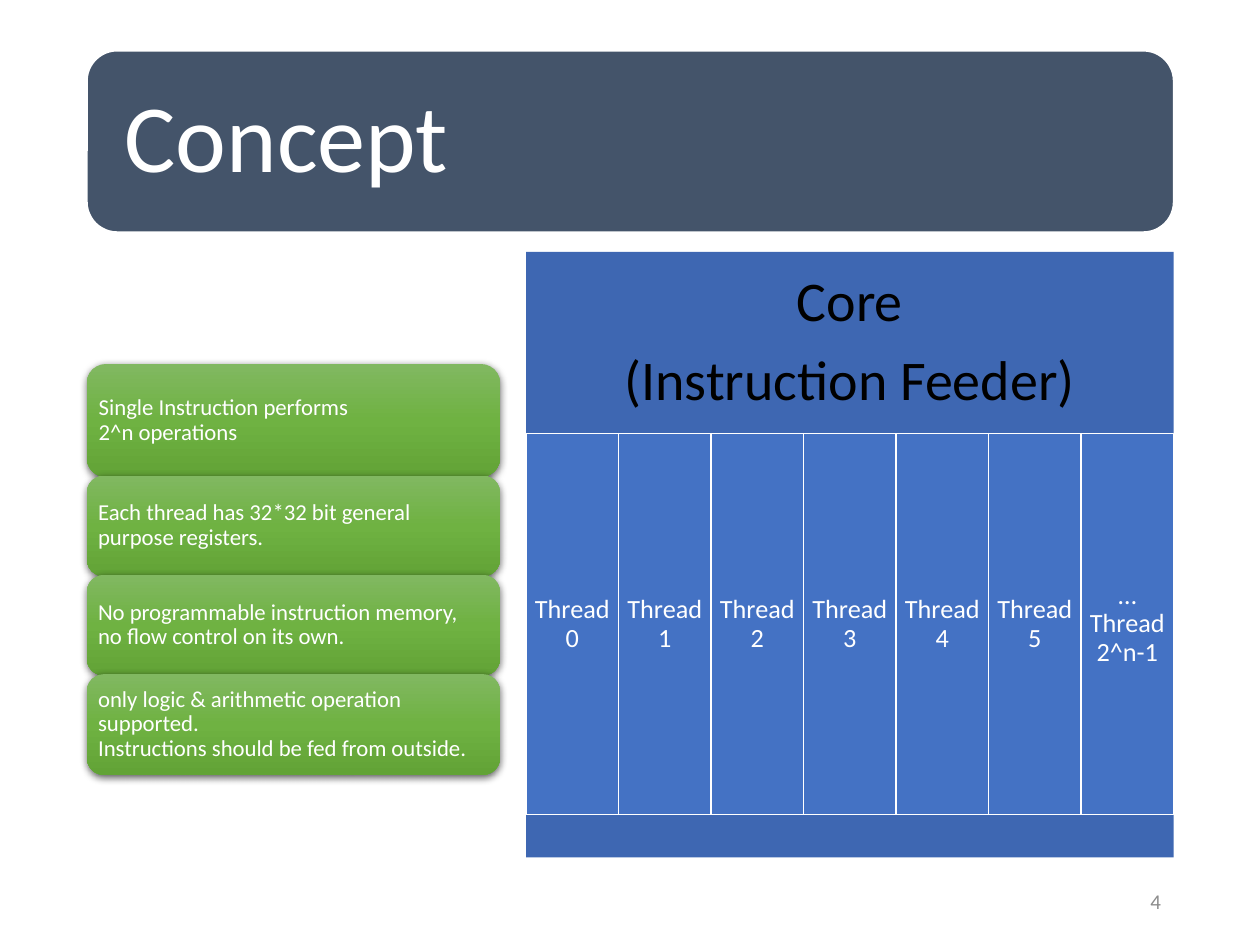
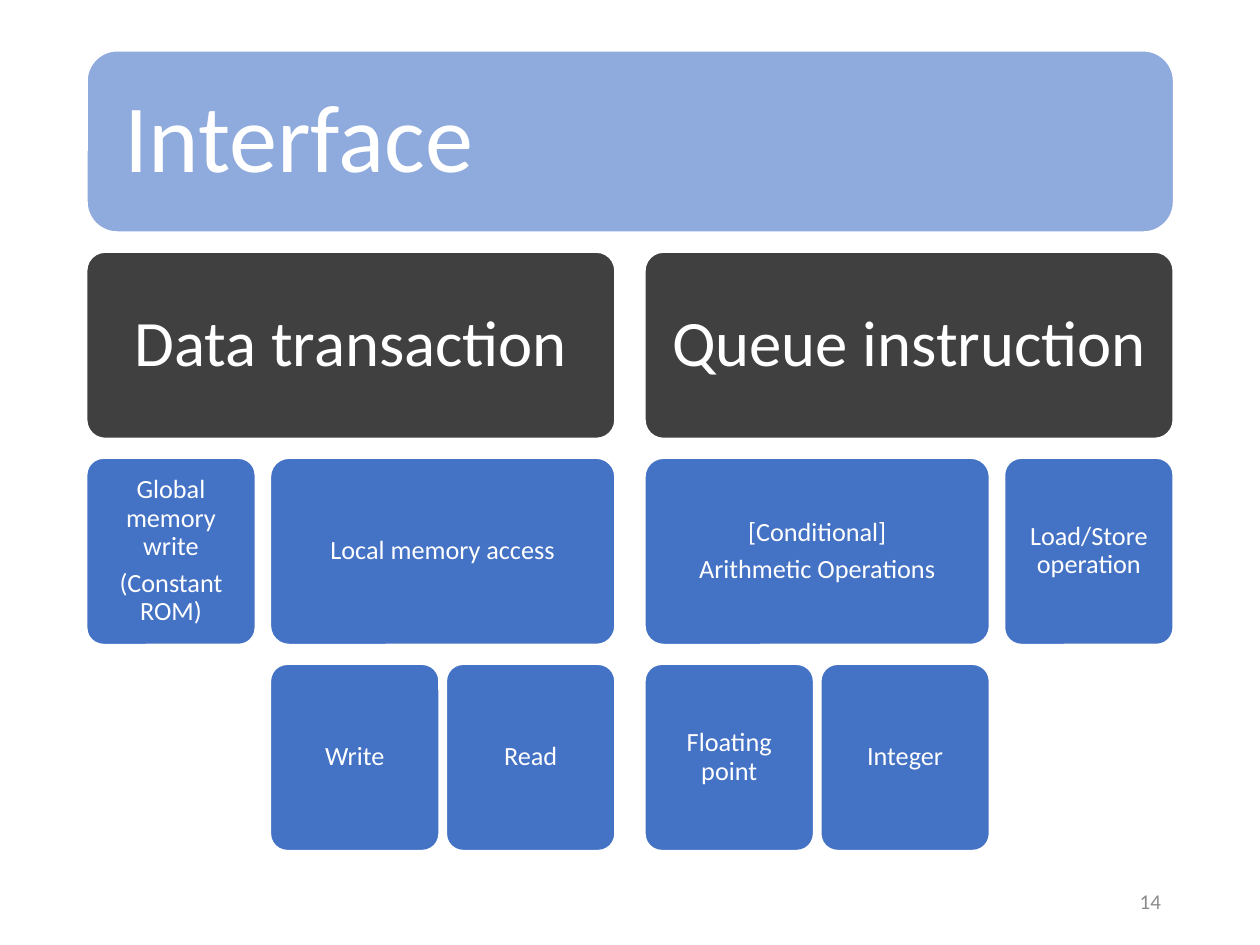
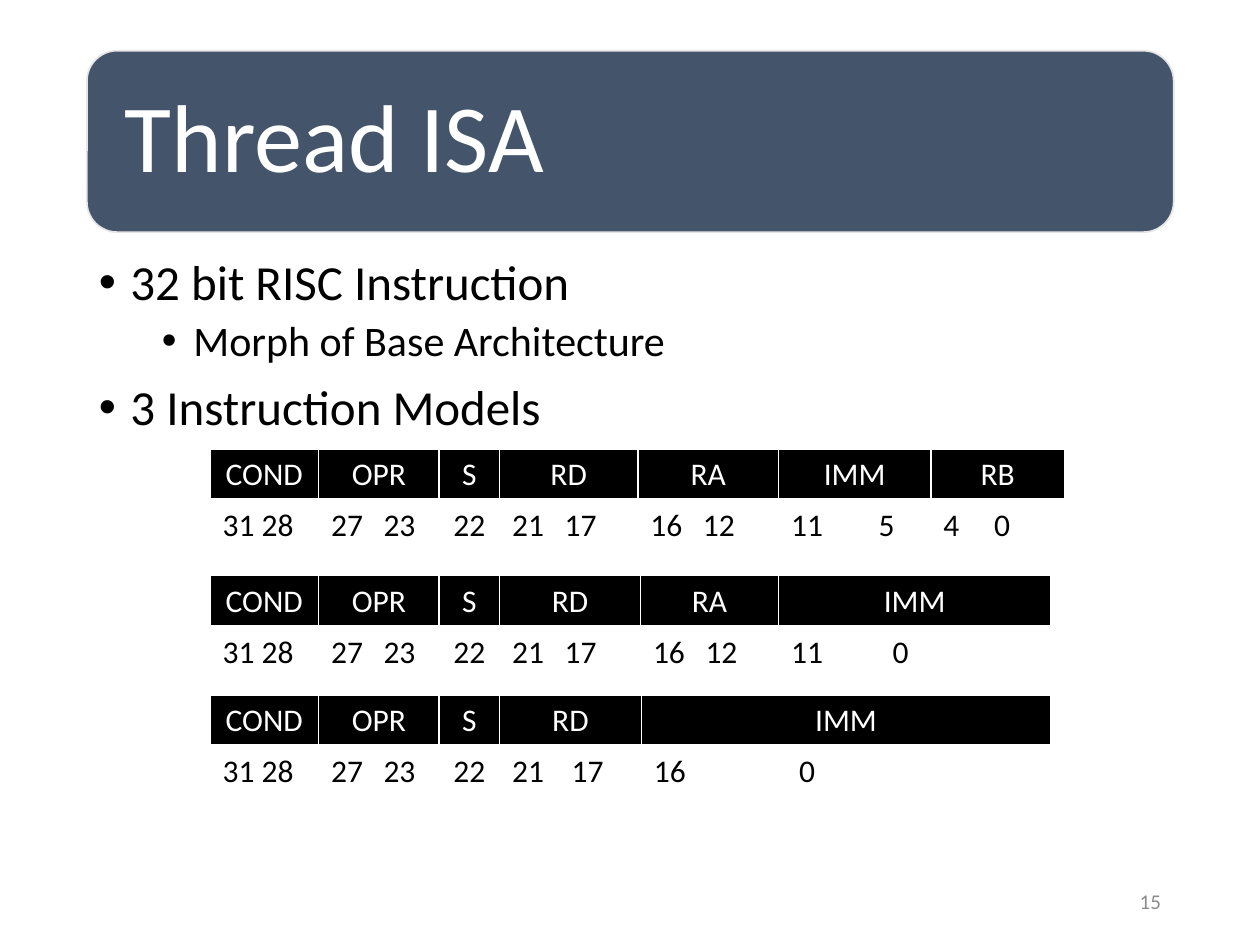
"""Builds three slides on a threaded core: concept, interface and instruction set."""
from copy import deepcopy
from dataclasses import dataclass
from itertools import accumulate

from lxml import etree
from pptx import Presentation
from pptx import util as u
from pptx.dml.color import RGBColor
from pptx.enum import shapes, text
from pptx.oxml.ns import qn

RECTANGLE = shapes.MSO_SHAPE.RECTANGLE
ROUNDED = shapes.MSO_SHAPE.ROUNDED_RECTANGLE
LEFT, CENTER = text.PP_ALIGN.LEFT, text.PP_ALIGN.CENTER
RIGHT, JUSTIFY = text.PP_ALIGN.RIGHT, text.PP_ALIGN.JUSTIFY


@dataclass(frozen=True)
class Theme:
    """Colours, font and type sizes shared by the slides."""
    font: str = "Calibri"
    white: str = "FFFFFF"
    black: str = "000000"
    slate: str = "44546A"
    sky: str = "8FAADC"
    blue: str = "4472C4"
    deep_blue: str = "3E67B2"
    charcoal: str = "404040"
    gray: str = "8C8C8C"
    light_gray: str = "E7E6E6"
    greens: tuple = ("81B861", "6FB242", "62A336")
    title: int = 55
    group: int = 37
    core: int = 32
    bullets: tuple = (28, 24)
    table: int = 18
    label: int = 15
    note: int = 13
    number: int = 12


@dataclass(frozen=True)
class Box:
    """A rectangle in points."""
    left: float
    top: float
    width: float
    height: float

    def lengths(self):
        """Return the four lengths as Pt values."""
        return [u.Pt(value) for value in (self.left, self.top, self.width, self.height)]

    def inset(self, margin):
        """Return the box shrunk by a margin on every side."""
        return Box(self.left + margin, self.top + margin,
                   self.width - 2 * margin, self.height - 2 * margin)


THEME = Theme()
TITLE_BOX = Box(49.7, 29, 621, 103.7)
BODY_BOX = Box(49.5, 144, 621, 343)
CORE_BOX = Box(300.6, 144, 370, 346)
NOTES_BOX = Box(49.7, 208, 236, 235)
NUMBER_BOX = Box(508.5, 501.5, 162, 28.8)

NOTES = [
    "Single Instruction performs\n2^n operations",
    "Each thread has 32*32 bit general purpose registers.",
    "No programmable instruction memory,\nno flow control on its own.",
    "only logic & arithmetic operation supported.\nInstructions should be fed from outside.",
]
THREADS = [f"Thread {index}" for index in range(6)] + ["… Thread 2^n-1"]
INTERFACE = [
    (["Data transaction"], [
        (["Global memory write", "(Constant ROM)"], []),
        (["Local memory access"], [(["Write"], []), (["Read"], [])]),
    ]),
    (["Queue instruction"], [
        (["[Conditional]", "Arithmetic Operations"],
         [(["Floating point"], []), (["Integer"], [])]),
        (["Load/Store operation"], []),
    ]),
]
BULLETS = [
    (0, "32 bit RISC Instruction"),
    (1, "Morph of Base Architecture"),
    (0, "3 Instruction Models"),
]
COMMON_FIELDS = [("COND", "31 28", 62, 0), ("OPR", "27\t23", 69, 30), ("S", "22", 34.5, 0)]
MODELS = [
    (256.7, [("RD", "21\t17", 79, 30), ("RA", "16\t12", 80.5, 30),
             ("IMM", "11\t5", 87, 50), ("RB", "4\t0", 76.5, 29)]),
    (329, [("RD", "21\t17", 80.5, 30), ("RA", "16\t12", 79, 30), ("IMM", "11\t0", 155.5, 58)]),
    (397.4, [("RD", "21\t17", 81, 34), ("IMM", "16\t0", 234, 83)]),
]


def style_paragraph(paragraph, size, color, align=LEFT, spacing=None):
    """Format a paragraph and all its runs."""
    paragraph.alignment = align
    paragraph.line_spacing = spacing
    for run in paragraph.runs:
        run.font.name = THEME.font
        run.font.size = u.Pt(size)
        run.font.color.rgb = RGBColor.from_string(color)


def write(frame, lines, size, color, align=LEFT, inset=0):
    """Fill a text frame with middle-anchored paragraphs."""
    frame.word_wrap = True
    frame.auto_size = text.MSO_AUTO_SIZE.NONE
    frame.vertical_anchor = text.MSO_ANCHOR.MIDDLE
    frame.margin_left = frame.margin_right = u.Pt(inset)
    frame.margin_top = frame.margin_bottom = u.Pt(inset)
    for index, line in enumerate(lines):
        paragraph = frame.add_paragraph() if index else frame.paragraphs[0]
        paragraph.text = line
        style_paragraph(paragraph, size, color, align, 0.9)
        if index < len(lines) - 1:
            paragraph.space_after = u.Pt(round(0.33 * size, 1))


def add_panel(slide, kind, box, fill, line=None):
    """Add a flat panel without a shadow, with a thin line or none."""
    shape = slide.shapes.add_shape(kind, *box.lengths())
    shape.shadow.inherit = False
    shape.fill.solid()
    shape.fill.fore_color.rgb = RGBColor.from_string(fill)
    if line:
        shape.line.color.rgb = RGBColor.from_string(line)
        shape.line.width = u.Pt(1)
    else:
        shape.line.fill.background()
    return shape


def add_titled_slide(presentation, title, number, fill, line=THEME.white):
    """Add a slide with its title on a rounded band and its slide number."""
    slide = presentation.slides.add_slide(presentation.slide_layouts[5])
    heading = slide.shapes.title
    band = add_panel(slide, ROUNDED, TITLE_BOX, fill, line)
    heading._element.addprevious(band._element)
    heading.left, heading.top, heading.width, heading.height = TITLE_BOX.inset(5).lengths()
    write(heading.text_frame, [title], THEME.title, THEME.white, inset=16.5)
    number_box = slide.shapes.add_textbox(*NUMBER_BOX.lengths())
    write(number_box.text_frame, [str(number)], THEME.number, THEME.gray, RIGHT, 7.2)
    return slide


def add_core(slide, box):
    """Draw the core with its header, thread columns and base."""
    header_height, thread_height = 0.3 * box.height, 0.63 * box.height
    header = add_panel(slide, RECTANGLE, Box(box.left, box.top, box.width, header_height),
                       THEME.deep_blue)
    write(header.text_frame, ["Core", "(Instruction Feeder)"], THEME.core, THEME.black, CENTER, 9)
    width = box.width / len(THREADS)
    thread_top = box.top + header_height
    for index, label in enumerate(THREADS):
        thread = add_panel(slide, RECTANGLE,
                           Box(box.left + index * width, thread_top, width, thread_height),
                           THEME.blue, THEME.white)
        write(thread.text_frame, [label], THEME.label, THEME.white, CENTER, 4)
    add_panel(slide, RECTANGLE,
              Box(box.left, thread_top + thread_height, box.width, 0.07 * box.height),
              THEME.deep_blue)


def apply_green_gloss(shape):
    """Give a shape the three-stop green gradient and a soft shadow."""
    shape.fill.gradient()
    shape.fill.gradient_angle = 270
    properties = shape._element.spPr
    stops = properties.find(".//" + qn("a:gsLst"))
    stops.insert(1, deepcopy(stops[0]))
    for index, (stop, color) in enumerate(zip(shape.fill.gradient_stops, THEME.greens)):
        stop.position = index / 2
        stop.color.rgb = RGBColor.from_string(color)
    shadow = etree.SubElement(properties.find(qn("a:effectLst")), qn("a:outerShdw"),
                              blurRad=str(u.Pt(4.5)), dist=str(u.Pt(1.5)),
                              dir="5400000", algn="ctr", rotWithShape="0")
    color = etree.SubElement(shadow, qn("a:srgbClr"), val=THEME.black)
    etree.SubElement(color, qn("a:alpha"), val="63000")


def add_notes(slide, box):
    """Stack the green notes, the first a little taller than the rest."""
    overlap = 0.75
    heights = [64.5] + [57.5] * (len(NOTES) - 1)
    offsets = accumulate((height - overlap for height in heights), initial=0)
    for note, height, offset in zip(NOTES, heights, offsets):
        card = add_panel(slide, ROUNDED, Box(box.left, box.top + offset, box.width, height),
                         THEME.greens[1])
        apply_green_gloss(card)
        write(card.text_frame, [note], THEME.note, THEME.white, inset=3.6)


def add_tree(slide, nodes, box, depth=0):
    """Place sibling nodes in a row, each above its children, and return the row width."""
    gap = (17, 8.5, 4)[depth]
    leaf_width, card_height, pitch = 96.5, 106.6, 117.75
    fill, size, inset = ((THEME.blue, THEME.label, 4.2) if depth
                         else (THEME.charcoal, THEME.group, 10.5))
    left = box.left
    for lines, children in nodes:
        below = Box(left, box.top + pitch, box.width, box.height - pitch)
        width = add_tree(slide, children, below, depth + 1) if children else leaf_width
        card = add_panel(slide, ROUNDED, Box(left, box.top, width, card_height), fill, THEME.white)
        card.adjustments[0] = 0.1
        write(card.text_frame, lines, size, THEME.white, CENTER, inset)
        left += width + gap
    return left - gap - box.left


def add_bullets(slide, box):
    """Write the two-level bullet list."""
    frame = slide.shapes.add_textbox(*box.lengths()).text_frame
    frame.word_wrap = True
    for index, (level, line) in enumerate(BULLETS):
        paragraph = frame.add_paragraph() if index else frame.paragraphs[0]
        paragraph.text = line
        paragraph.level = level
        style_paragraph(paragraph, THEME.bullets[level], THEME.black, LEFT, 0.9)
        paragraph.space_before = u.Pt((10, 5)[level])
        properties = paragraph._p.get_or_add_pPr()
        properties.set("marL", str(u.Pt(18 + 36 * level)))
        properties.set("indent", str(u.Pt(-18)))
        etree.SubElement(properties, qn("a:buFont"), typeface="Arial")
        etree.SubElement(properties, qn("a:buChar"), char="•")


def set_borders(cell, widths):
    """Draw white cell borders with a width for each side."""
    properties = cell._tc.get_or_add_tcPr()
    for side, width in widths.items():
        line = etree.SubElement(properties, qn(f"a:ln{side}"), w=str(u.Pt(width)))
        fill = etree.SubElement(line, qn("a:solidFill"))
        etree.SubElement(fill, qn("a:srgbClr"), val=THEME.white)


def fill_cell(cell, label, align, color):
    """Write a table cell in the table type size."""
    paragraph = cell.text_frame.paragraphs[0]
    paragraph.text = label
    style_paragraph(paragraph, THEME.table, color, align)
    return paragraph


def add_model(slide, fields, box):
    """Draw one instruction format: field names above their bit ranges."""
    table = slide.shapes.add_table(2, len(fields), *box.lengths()).table
    table.horz_banding = False
    for row in table.rows:
        row.height = u.Pt(box.height / 2)
    for index, (name, bits, width, tab) in enumerate(fields):
        table.columns[index].width = u.Pt(width)
        head, body = table.cell(0, index), table.cell(1, index)
        set_borders(head, {"L": 1, "R": 1, "T": 1, "B": 3})
        set_borders(body, {"L": 1, "R": 1, "T": 3, "B": 1})
        head.fill.solid()
        head.fill.fore_color.rgb = RGBColor.from_string(THEME.black)
        body.fill.background()
        fill_cell(head, name, CENTER, THEME.white)
        paragraph = fill_cell(body, bits, CENTER if name == "S" else JUSTIFY, THEME.black)
        if tab:
            tabs = etree.SubElement(paragraph._p.get_or_add_pPr(), qn("a:tabLst"))
            etree.SubElement(tabs, qn("a:tab"), pos=str(u.Pt(tab)), algn="l")


def build_concept(presentation):
    """Build the concept slide."""
    slide = add_titled_slide(presentation, "Concept", 4, THEME.slate)
    add_core(slide, CORE_BOX)
    add_notes(slide, NOTES_BOX)


def build_interface(presentation):
    """Build the interface slide."""
    slide = add_titled_slide(presentation, "Interface", 14, THEME.sky)
    add_tree(slide, INTERFACE, BODY_BOX)


def build_thread_isa(presentation):
    """Build the instruction set slide."""
    slide = add_titled_slide(presentation, "Thread ISA", 15, THEME.slate, THEME.light_gray)
    add_bullets(slide, BODY_BOX)
    for top, own_fields in MODELS:
        fields = COMMON_FIELDS + own_fields
        width = sum(field[2] for field in fields)
        add_model(slide, fields, Box(120, top, width, 58.4))


def main():
    """Build and save the presentation."""
    presentation = Presentation()
    presentation.slide_width, presentation.slide_height = u.Pt(720), u.Pt(540)
    build_concept(presentation)
    build_interface(presentation)
    build_thread_isa(presentation)
    presentation.save("out.pptx")


if __name__ == "__main__":
    main()
